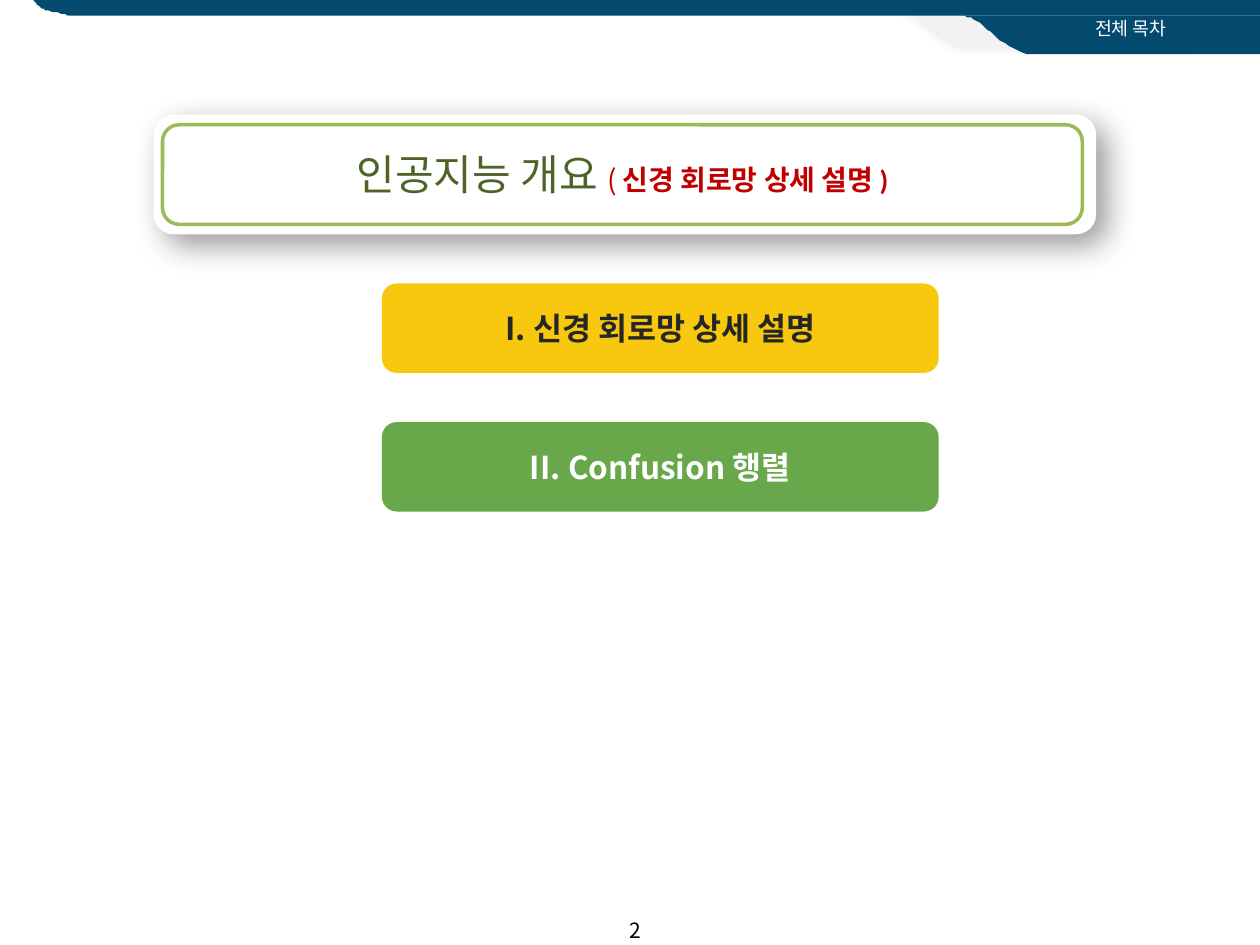
from lxml import etree
from pptx import Presentation
from pptx.dml.color import RGBColor
from pptx.enum import shapes, text
from pptx.oxml.ns import qn
from pptx.util import Pt

COLORS = {
    "navy": "044A6E", "pale": "F2F2F2", "white": "FFFFFF", "black": "000000",
    "lime": "9BBB59", "olive": "4F6228", "red": "C00000",
    "yellow": "F7C80D", "green": "68A84A", "ink": "262626",
}
KOREAN = "Noto Sans CJK KR"


def style(font, size, color, bold=False, latin=KOREAN):
    """Set a run or paragraph font, with the Korean face for East Asian text."""
    font.size, font.bold, font.name = Pt(size), bold, latin
    font.color.rgb = RGBColor.from_string(COLORS[color])
    etree.SubElement(font._rPr, qn("a:ea")).set("typeface", KOREAN)


def add_shadow(sp, alpha, blur, dist, angle):
    effects = sp._element.spPr.find(qn("a:effectLst"))
    shadow = etree.SubElement(
        effects, qn("a:outerShdw"), blurRad=str(Pt(blur)), dist=str(Pt(dist)),
        dir=str(angle * 60000), algn="ctr", rotWithShape="0")
    color = etree.SubElement(shadow, qn("a:srgbClr"), val=COLORS["black"])
    etree.SubElement(color, qn("a:alpha"), val=str(alpha * 1000))


prs = Presentation()
prs.slide_width, prs.slide_height = Pt(720), Pt(540)
s = prs.slides.add_slide(prs.slide_layouts[6])

# Header band: three straight corners, then a Bezier back to the first one
bands = [
    ("pale", [(513.4, 4.3), (684, 4.3), (684, 26.6)],
     [(558, 26.6), (537.1, 28.1), (527.8, 6.5), (513.4, 4.3)]),
    ("navy", [(549.4, 8.6), (720, 8.6), (720, 31)],
     [(594, 31), (573.1, 32.4), (563.8, 10.8), (549.4, 8.6)]),
    ("navy", [(18.7, 0), (720, 0), (720, 9.2)],
     [(43.9, 9.2), (21.6, 6.5), (23, 3.6), (18.7, 0)]),
]
STEPS = 24
for color, corners, bezier in bands:
    points = list(corners)
    for i in range(STEPS + 1):
        t = i / STEPS
        weights = ((1 - t) ** 3, 3 * t * (1 - t) ** 2, 3 * t * t * (1 - t), t ** 3)
        points.append(tuple(sum(w * pt[axis] for w, pt in zip(weights, bezier))
                            for axis in (0, 1)))
    builder = s.shapes.build_freeform(*points[0], scale=Pt(1))
    builder.add_line_segments(points[1:-1], close=True)
    sp = builder.convert_to_shape()
    sp.shadow.inherit = False
    sp.fill.solid()
    sp.fill.fore_color.rgb = RGBColor.from_string(COLORS[color])
    sp.line.fill.background()
    if color == "pale":
        add_shadow(sp, alpha=5, blur=4, dist=3, angle=135)

# Rounded boxes: title card, its inner frame and the contents entries
boxes = [
    ((87.8, 65.5, 538.6, 68.4), "white", None, None),
    ((92.9, 71.3, 525.6, 56.9), None, None, None),
    ((218.2, 162, 318.2, 51.1), "yellow", "I. 신경 회로망 상세 설명", "ink"),
    ((218.2, 241.2, 318.2, 51.1), "green", "II. Confusion 행렬", "white"),
]
for place, fill, label, ink in boxes:
    sp = s.shapes.add_shape(shapes.MSO_SHAPE.ROUNDED_RECTANGLE, *map(Pt, place))
    sp.shadow.inherit = False
    if fill:
        sp.fill.solid()
        sp.fill.fore_color.rgb = RGBColor.from_string(COLORS[fill])
        sp.line.fill.background()
    else:
        sp.fill.background()
        sp.line.color.rgb = RGBColor.from_string(COLORS["lime"])
        sp.line.width = Pt(2)
    if label:
        tf = sp.text_frame
        tf.vertical_anchor = text.MSO_ANCHOR.MIDDLE
        p = tf.paragraphs[0]
        p.text, p.alignment = label, text.PP_ALIGN.CENTER
        style(p.font, 18, ink, bold=True)
    elif fill:
        add_shadow(sp, alpha=40, blur=18, dist=8, angle=45)

# Heading on the card
tf = s.shapes.add_textbox(Pt(92.9), Pt(81.4), Pt(525.6), Pt(65.5)).text_frame
tf.word_wrap = True
p = tf.paragraphs[0]
p.alignment = text.PP_ALIGN.CENTER
for words, size, color, bold, latin in [
    ("인공지능 개요 ", 24, "olive", False, KOREAN),
    ("( ", 16, "red", False, KOREAN),
    ("신경 회로망 상세 설명 )", 16, "red", True, "Calibri"),
]:
    r = p.add_run()
    r.text = words
    style(r.font, size, color, bold, latin)

# Section name and page number
for words, place, size, color, anchor in [
    ("전체 목차", (581, 6.5, 130.3, 20.2), 10.5, "white", text.MSO_ANCHOR.TOP),
    ("2", (337.7, 517, 51.1, 28.8), 12, "black", text.MSO_ANCHOR.MIDDLE),
]:
    tf = s.shapes.add_textbox(*map(Pt, place)).text_frame
    tf.word_wrap, tf.vertical_anchor = True, anchor
    p = tf.paragraphs[0]
    p.text, p.alignment = words, text.PP_ALIGN.CENTER
    style(p.font, size, color)

prs.save("out.pptx")
